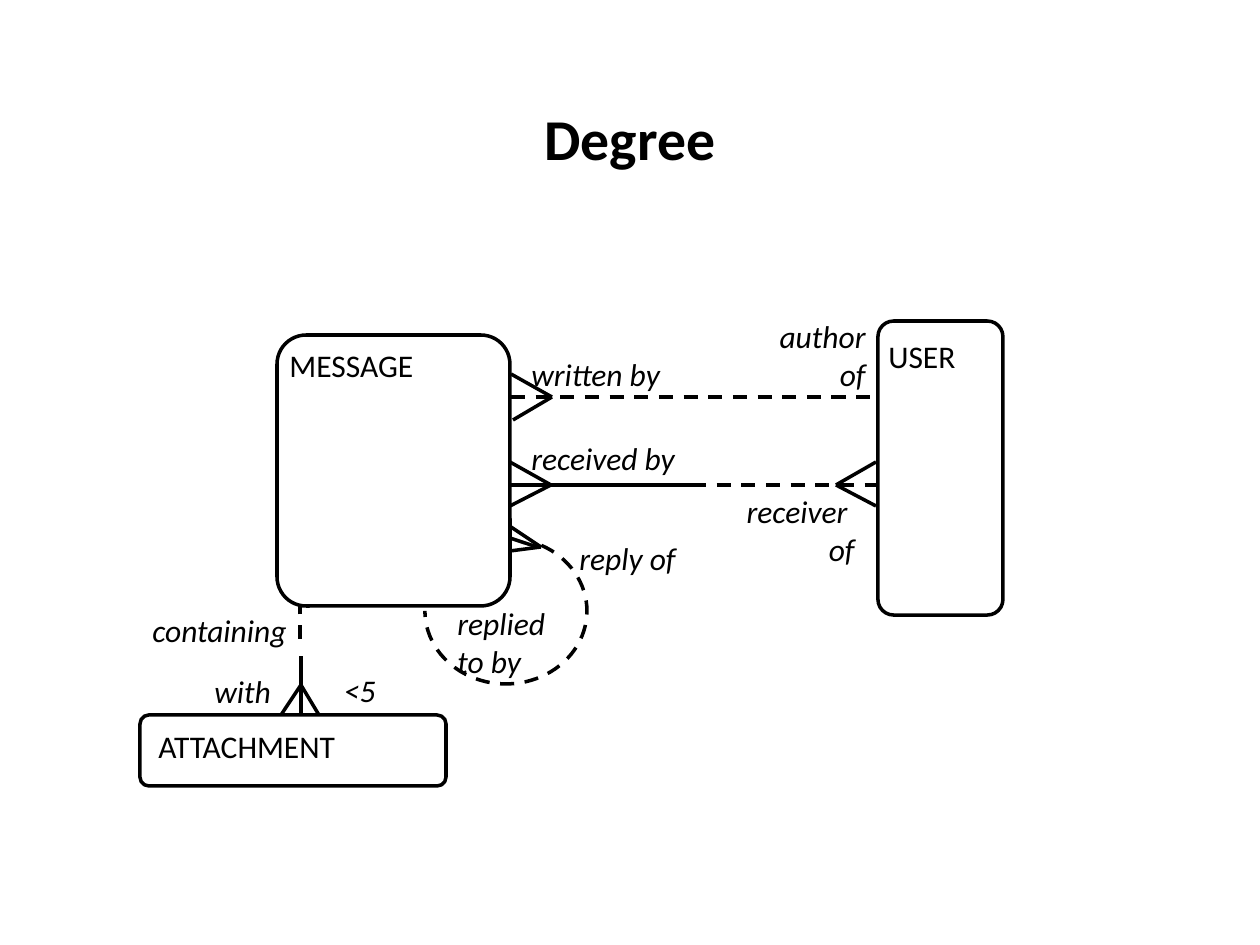
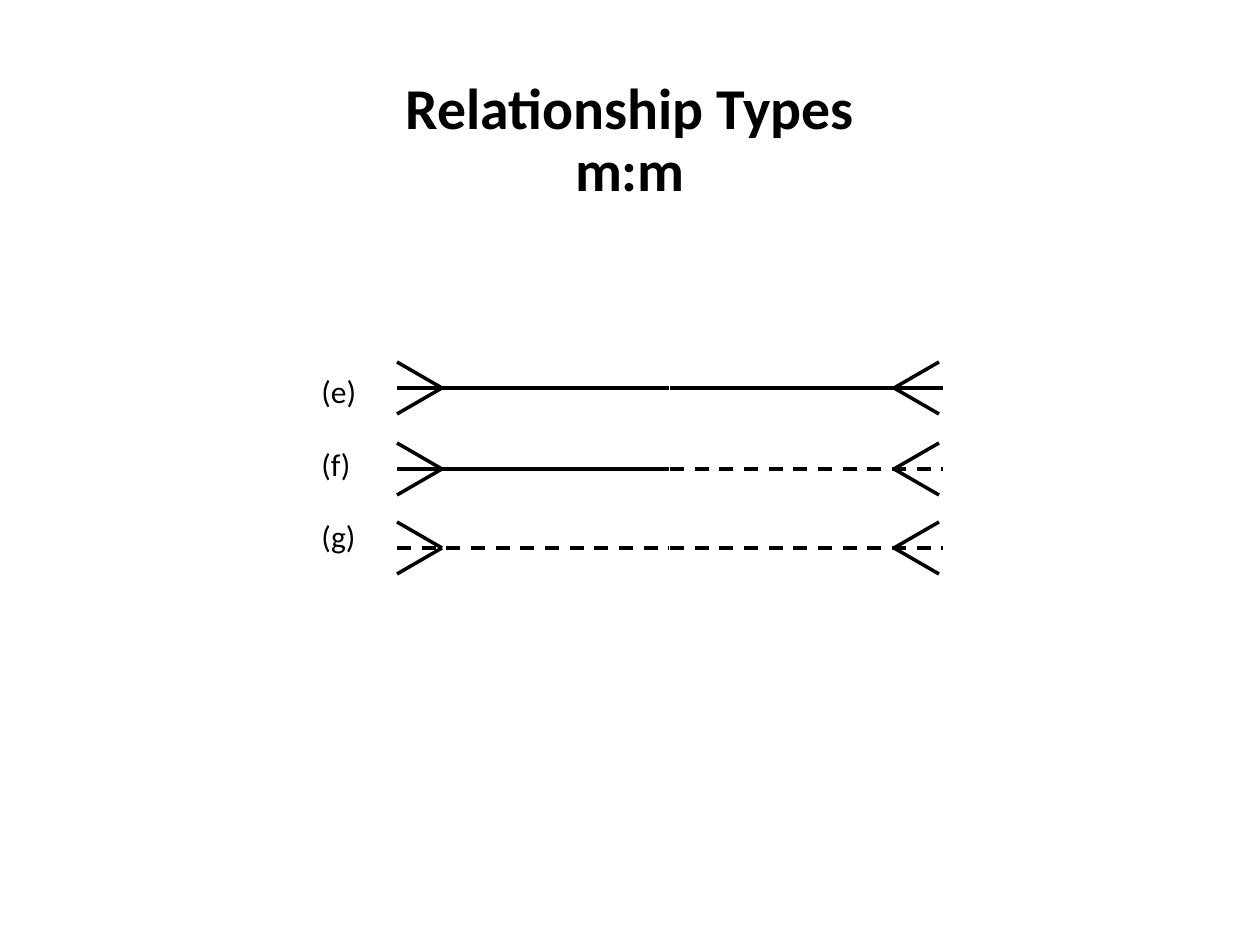
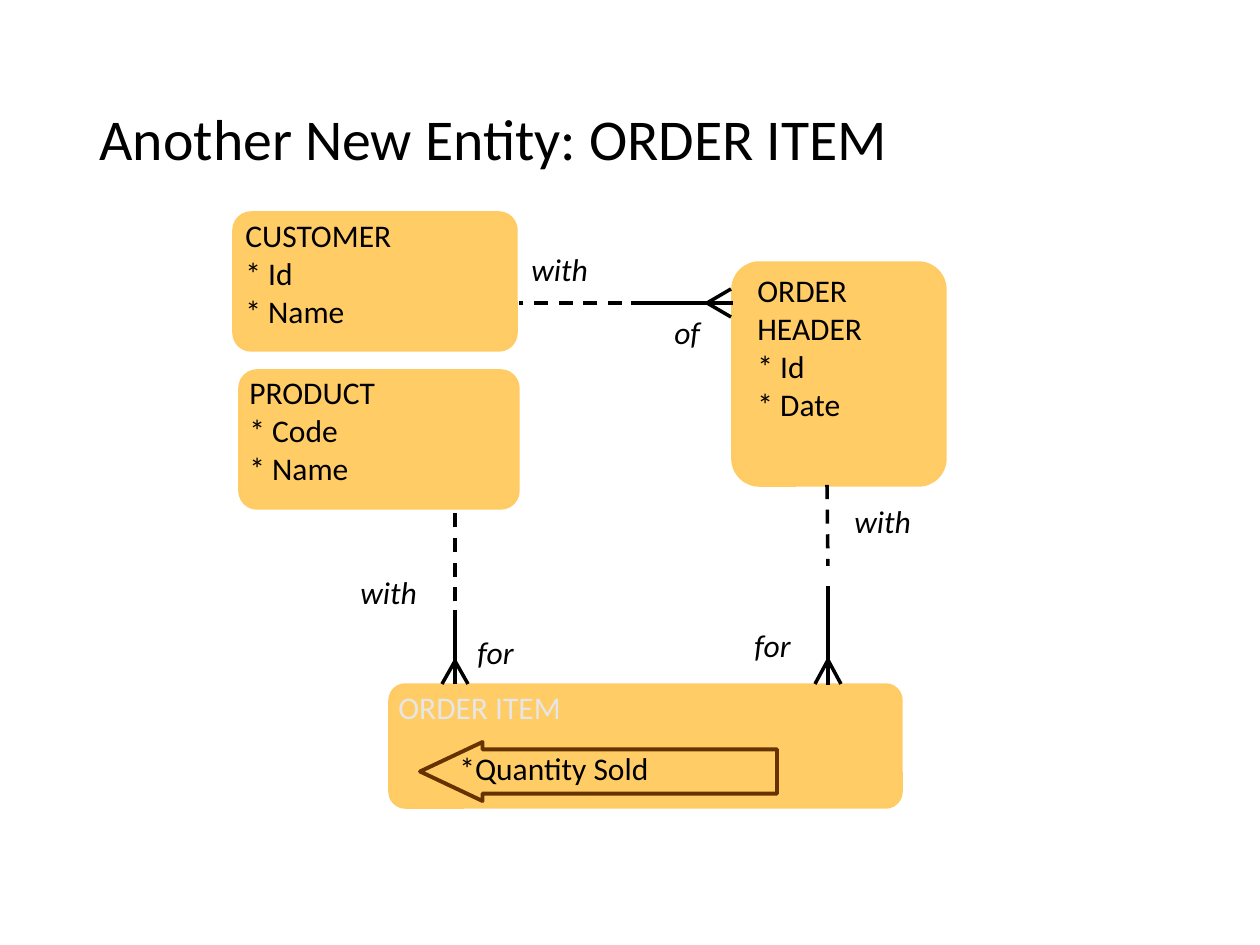
"""Build three entity-relationship slides: degree, many-to-many types and a new entity."""
from math import cos, radians, sin
from lxml.etree import SubElement
from pptx import Presentation
from pptx.dml.color import RGBColor as RGB
from pptx.enum.dml import MSO_LINE_DASH_STYLE as DASH
from pptx.enum.shapes import MSO_CONNECTOR as CONN, MSO_SHAPE as SHAPE
from pptx.enum.text import MSO_ANCHOR as ANCHOR, PP_ALIGN as ALIGN
from pptx.oxml.ns import qn
from pptx.util import Emu, Pt

SCALE = 914400 / 126
BLACK = RGB.from_string("000000")
THEME = {
    "ink": BLACK,
    "amber": RGB.from_string("FFCC66"),
    "amber_edge": RGB.from_string("FFCB65"),
    "brown": RGB.from_string("663300"),
    "line": Pt(2),
    "arrow_line": Pt(2.25),
    "corner": 0.125,
    "title_box": (87, 50, 1086, 183),
    "title": {"name": "Calibri", "size": Pt(33)},
    "body": {"name": "Calibri", "size": Pt(18)},
    "gap": Pt(9),
}
LEFT, RIGHT = {"alignment": ALIGN.LEFT}, {"alignment": ALIGN.RIGHT}
STYLES = {
    "entity": (LEFT, {"italic": False}, BLACK),
    "pale": (LEFT, {"italic": False}, RGB.from_string("E7E6E6")),
    "role": (LEFT, {"italic": True}, BLACK),
    "role_right": (RIGHT, {"italic": True}, BLACK),
    "role_tight": ({**LEFT, "line_spacing": 0.9}, {"italic": True}, BLACK),
    "list": ({**LEFT, "line_spacing": 1.5}, {"italic": False}, BLACK),
}


def px(*values):
    """Turn pixels into EMU."""
    return [Emu(round(v * SCALE)) for v in values]


def line(slide, x1, y1, x2, y2, dashed=False):
    """Draw a plain or dashed relationship line."""
    cx = slide.shapes.add_connector(CONN.STRAIGHT, *px(x1, y1, x2, y2))
    cx.line.color.rgb = THEME["ink"]
    cx.line.width = THEME["line"]
    if dashed:
        cx.line.dash_style = DASH.DASH
    SubElement(cx._element.spPr, qn("a:effectLst"))


row_ys = (388, 469, 548)
row_dashes = ((False, False), (False, True), (True, True))
half_lines = [
    (x1, y, x2, y, dashed)
    for y, dashes in zip(row_ys, row_dashes)
    for (x1, x2), dashed in zip(((397, 669), (670, 943)), dashes)
]
row_feet = [
    (tip, y, end, y - 26, end, y + 26)
    for y in row_ys for tip, end in ((442, 397), (894, 939))
]

pages = [
    {
        "title": "Degree", "bold": True, "align": ALIGN.CENTER, "filled": False,
        "boxes": [(878, 321, 125, 294), (140, 715, 306, 71), (277, 335, 233, 271)],
        "lines": [
            (511, 397, 878, 397, True), (509, 485, 694, 485, False),
            (692, 485, 877, 485, True), (301, 713, 301, 656, False),
            (300, 639, 300, 605, True), (537, 547, 510, 538, False),
        ],
        "feet": [
            (552, 397, 511, 374, 513, 420), (551, 485, 510, 462, 510, 506),
            (836, 485, 876, 462, 876, 506), (301, 685, 281, 715, 319, 715),
            (541, 547, 511, 527, 510, 551),
        ],
        "labels": [
            (876, 331, 126, 50, "entity", "USER"),
            (146, 721, 304, 50, "entity", "ATTACHMENT"),
            (277, 340, 217, 50, "entity", "MESSAGE"),
            (519, 349, 214, 50, "role", "written by"),
            (519, 433, 214, 50, "role", "received by"),
            (567, 533, 155, 50, "role", "reply of"),
            (445, 598, 135, 88, "role", "replied to by "),
            (202, 666, 141, 50, "role", "with"),
            (741, 311, 137, 88, "role_right", "author of"),
            (653, 486, 214, 88, "role_right", "receiver \nof"),
            (100, 605, 199, 50, "role_right", "containing"),
            (324, 665, 64, 50, "role_right", "<5"),
        ],
    },
    {
        "title": "Relationship Types\nm:m", "bold": True, "align": ALIGN.CENTER,
        "filled": False, "boxes": [], "lines": half_lines, "feet": row_feet,
        "labels": [(309, 347, 145, 222, "list", "(e)", "(f)", "(g)")],
    },
    {
        "title": "Another New Entity: ORDER ITEM", "bold": False, "align": ALIGN.LEFT,
        "filled": True,
        "boxes": [
            (390, 685, 511, 122), (234, 213, 282, 137),
            (240, 371, 278, 137), (733, 263, 212, 222),
        ],
        "lines": [
            (828, 586, 828, 685, False), (827, 485, 828, 566, True),
            (455, 610, 455, 684, False), (455, 626, 455, 512, True),
            (631, 303, 733, 303, False), (622, 303, 519, 303, True),
        ],
        "feet": [
            (828, 660, 815, 684, 841, 684), (455, 661, 442, 684, 468, 684),
            (707, 303, 731, 289, 731, 317),
        ],
        "labels": [
            (386, 682, 561, 50, "pale", "ORDER ITEM"),
            (233, 210, 277, 126, "entity", "CUSTOMER\n* Id\n* Name"),
            (237, 367, 239, 126, "entity", "PRODUCT\n* Code\n* Name "),
            (745, 265, 194, 164, "entity", "ORDER \nHEADER\n* Id\n* Date"),
            (447, 743, 292, 50, "entity", "*Quantity Sold"),
            (465, 631, 107, 47, "role_tight", "for"),
            (742, 624, 105, 47, "role_tight", "for"),
            (348, 571, 135, 47, "role_tight", "with"),
            (842, 500, 105, 47, "role_tight", "with"),
            (519, 248, 141, 47, "role_tight", "with"),
            (662, 311, 77, 47, "role_tight", "of"),
        ],
    },
]

prs = Presentation()
prs.slide_width, prs.slide_height = px(1260, 945)
title_style = prs.slide_master.element.find(".//" + qn("p:titleStyle"))
title_style.find(".//" + qn("a:defRPr")).set("sz", str(THEME["title"]["size"] // 127))

for page in pages:
    slide = prs.slides.add_slide(prs.slide_layouts[5])
    title = slide.shapes.title
    title.left, title.top, title.width, title.height = px(*THEME["title_box"])
    tf = title.text_frame
    tf.vertical_anchor = ANCHOR.MIDDLE
    p = tf.paragraphs[0]
    p.text = page["title"]
    p.alignment, p.line_spacing = page["align"], 0.9
    for r in p.runs:
        for key, value in {**THEME["title"], "bold": page["bold"]}.items():
            setattr(r.font, key, value)
        r.font.color.rgb = THEME["ink"]

    for box in page["boxes"]:
        sp = slide.shapes.add_shape(SHAPE.ROUNDED_RECTANGLE, *px(*box))
        sp.adjustments[0] = THEME["corner"]
        sp.shadow.inherit = False
        sp.line.width = THEME["line"]
        if page["filled"]:
            sp.fill.solid()
            sp.fill.fore_color.rgb = THEME["amber"]
            sp.line.color.rgb = THEME["amber_edge"]
        else:
            sp.fill.background()
            sp.line.color.rgb = THEME["ink"]

    for ends in page["lines"]:
        line(slide, *ends)
    for tip_x, tip_y, x1, y1, x2, y2 in page["feet"]:
        line(slide, x1, y1, tip_x, tip_y)
        line(slide, x2, y2, tip_x, tip_y)

    if page is pages[0]:
        points = [
            px(506 + 81 * cos(radians(a)), 611 + 73 * sin(radians(a)))
            for a in range(-64, 181, 4)
        ]
        loop = slide.shapes.build_freeform(*points[0])
        loop.add_line_segments(points[1:], close=False)
        sp = loop.convert_to_shape()
        sp.shadow.inherit = False
        sp.fill.background()
        sp.line.color.rgb = THEME["ink"]
        sp.line.width = THEME["line"]
        sp.line.dash_style = DASH.DASH

    if page is pages[2]:
        sp = slide.shapes.add_shape(SHAPE.LEFT_ARROW, *px(420, 742, 357, 59))
        sp.adjustments[0], sp.adjustments[1] = 0.75, 1.06
        sp.shadow.inherit = False
        sp.fill.background()
        sp.line.color.rgb = THEME["brown"]
        sp.line.width = THEME["arrow_line"]

    for x, y, w, h, style, *paras in page["labels"]:
        para_format, font_format, color = STYLES[style]
        tf = slide.shapes.add_textbox(*px(x, y, w, h)).text_frame
        tf.word_wrap = True
        for i, text in enumerate(paras):
            p = tf.add_paragraph() if i else tf.paragraphs[0]
            p.text = text
            p.space_before = THEME["gap"] if i else Pt(0)
            for key, value in para_format.items():
                setattr(p, key, value)
            for r in p.runs:
                for key, value in {**THEME["body"], **font_format}.items():
                    setattr(r.font, key, value)
                r.font.color.rgb = color

prs.save("out.pptx")
